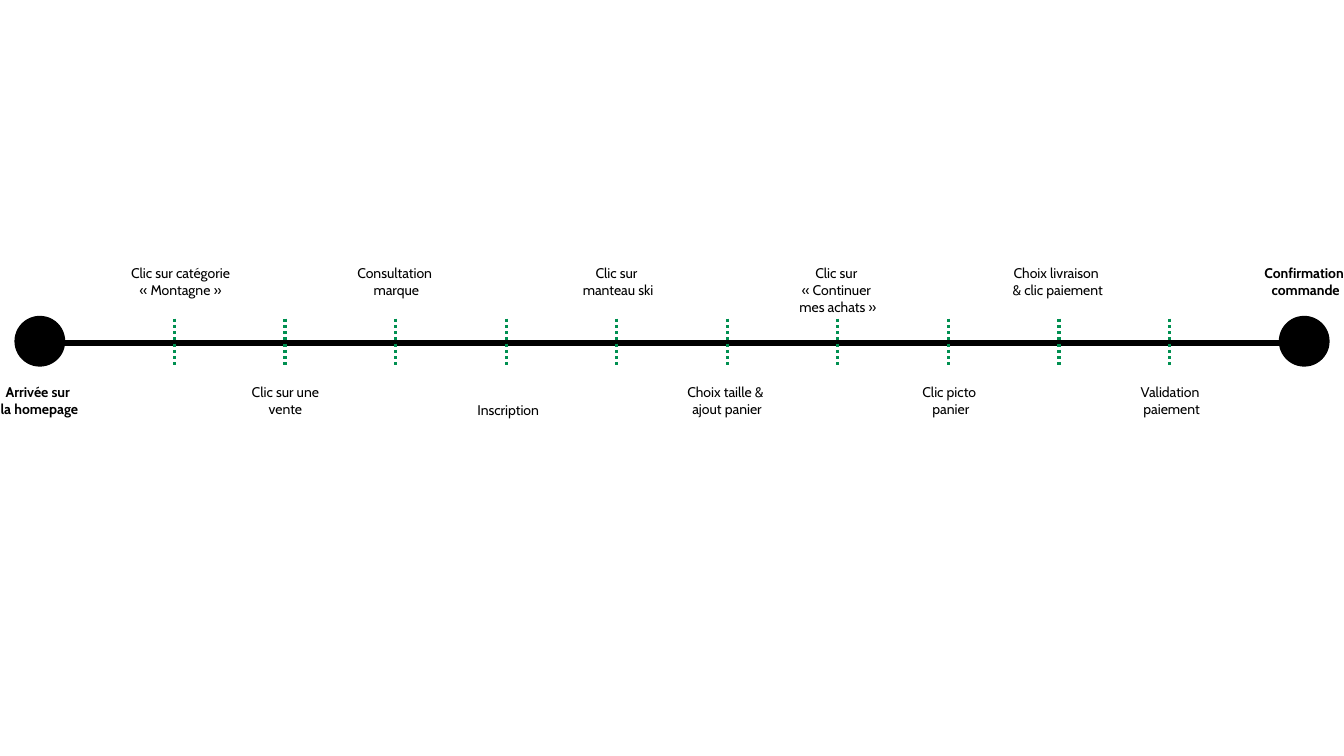
import pptx
import pptx.util
import pptx.dml.color
import pptx.enum.dml
import pptx.enum.shapes
import pptx.enum.text
import pptx.oxml.ns
from lxml import etree
from pptx.util import Inches, Pt

BLACK = pptx.dml.color.RGBColor(0x00, 0x00, 0x00)
GREEN = pptx.dml.color.RGBColor(0x00, 0x90, 0x51)

ABOVE, BELOW, BELOW_SINGLE = 2.58, 3.76, 3.93
LABEL_WIDTH = 1.18
# Step text, horizontal centre, top of the label
STEPS = [
    ("Arrivée sur \vla homepage", 0.39, BELOW),
    ("Clic sur catégorie\v« Montagne »", 1.79, ABOVE),
    ("Clic sur une vente", 2.83, BELOW),
    ("Consultation \vmarque", 3.93, ABOVE),
    ("Inscription", 5.04, BELOW_SINGLE),
    ("Clic sur \vmanteau ski", 6.13, ABOVE),
    ("Choix taille & \vajout panier", 7.21, BELOW),
    ("Clic sur \v« Continuer \vmes achats »", 8.31, ABOVE),
    ("Clic picto \vpanier", 9.43, BELOW),
    ("Choix livraison \v& clic paiement", 10.49, ABOVE),
    ("Validation \vpaiement", 11.62, BELOW),
    ("Confirmation \vcommande", 12.95, ABOVE),
]
TICK_COUNT = len(STEPS) - 2
FIRST_TICK, LAST_TICK = 1.73, 11.6


def add_line(x1, y1, x2, y2, color, width):
    line = slide.shapes.add_connector(
        pptx.enum.shapes.MSO_CONNECTOR.STRAIGHT,
        Inches(x1), Inches(y1), Inches(x2), Inches(y2))
    line.line.color.rgb = color
    line.line.width = Pt(width)
    etree.SubElement(line._element.spPr, pptx.oxml.ns.qn("a:effectLst"))
    return line


journey = pptx.Presentation()
journey.slide_width = Inches(13.33)
journey.slide_height = Inches(7.5)
slide = journey.slides.add_slide(journey.slide_layouts[6])

# Step labels, with the two ends of the journey in bold
for index, (text, centre, top) in enumerate(STEPS):
    height = 0.27 if top == BELOW_SINGLE else 0.44
    label = slide.shapes.add_textbox(
        Inches(centre - LABEL_WIDTH / 2), Inches(top),
        Inches(LABEL_WIDTH), Inches(height))
    frame = label.text_frame
    frame.word_wrap = "\v" not in text
    frame.auto_size = pptx.enum.text.MSO_AUTO_SIZE.SHAPE_TO_FIT_TEXT
    paragraph = frame.paragraphs[0]
    paragraph.text = text
    paragraph.alignment = pptx.enum.text.PP_ALIGN.CENTER
    for run in paragraph.runs:
        run.font.name = "Cabin"
        run.font.size = Pt(10)
        run.font.color.rgb = BLACK
        run.font.bold = index in (0, len(STEPS) - 1)

# Timeline and its end points
add_line(0.15, 3.4, 13, 3.4, BLACK, 4.5)
for left in (0.15, 12.69):
    end_point = slide.shapes.add_shape(
        pptx.enum.shapes.MSO_SHAPE.OVAL,
        Inches(left), Inches(3.14), Inches(0.49), Inches(0.49))
    end_point.shadow.inherit = False
    end_point.fill.solid()
    end_point.fill.fore_color.rgb = BLACK
    end_point.line.color.rgb = BLACK
    end_point.line.width = Pt(1)

# Dotted tick for each intermediate step
tick_gap = (LAST_TICK - FIRST_TICK) / (TICK_COUNT - 1)
for index in range(TICK_COUNT):
    x = FIRST_TICK + index * tick_gap
    tick = add_line(x, 3.16, x, 3.62, GREEN, 2.25)
    tick.line.dash_style = pptx.enum.dml.MSO_LINE.ROUND_DOT

journey.save("out.pptx")
